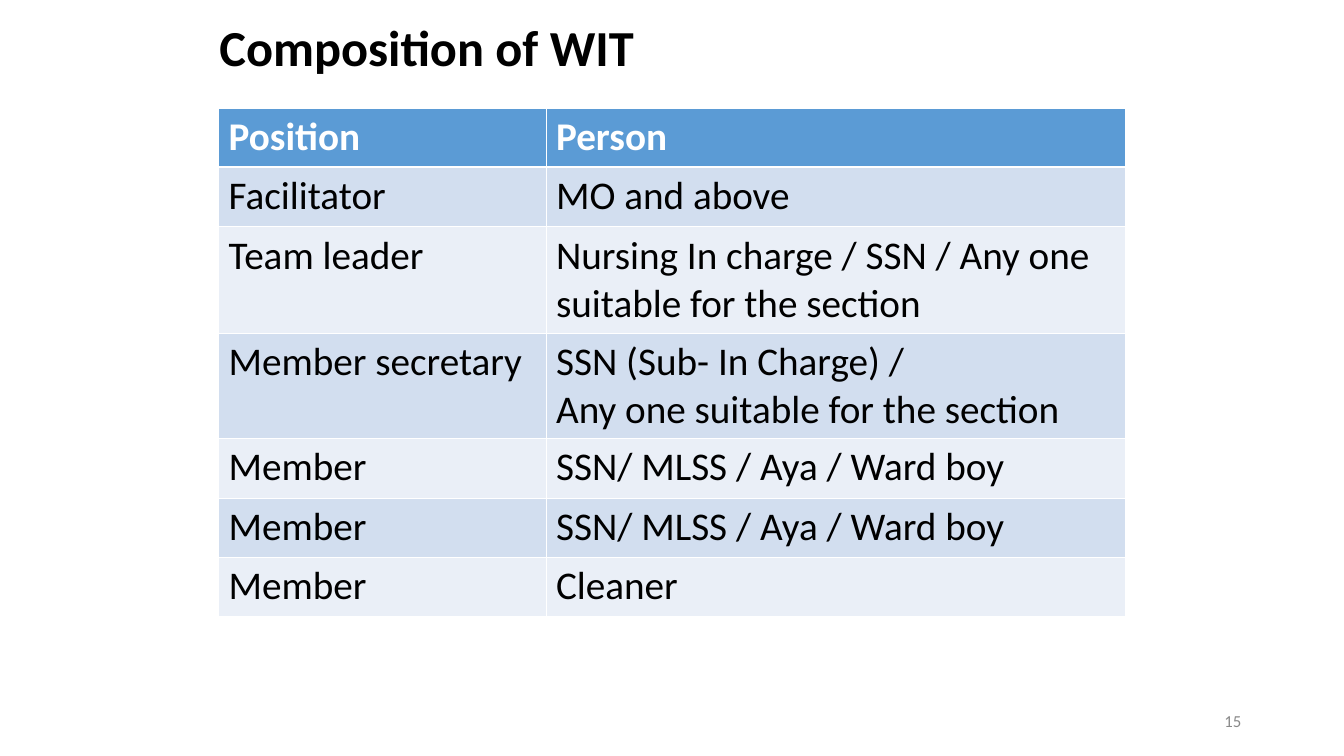
from lxml import etree
from pptx import Presentation
from pptx.dml.color import RGBColor
from pptx.enum.text import MSO_ANCHOR, PP_ALIGN
from pptx.oxml.ns import qn
from pptx.util import Inches, Pt

LEFT, RIGHT = PP_ALIGN.LEFT, PP_ALIGN.RIGHT
MIDDLE = MSO_ANCHOR.MIDDLE
FONT = "Calibri"
COLORS = {
    "black": "000000",
    "white": "FFFFFF",
    "gray": "898989",
    "head": "5B9BD5",
    "odd": "D2DEEF",
    "even": "EAEFF7",
}
ROWS = [
    ("Position", "Person"),
    ("Facilitator", "MO and above"),
    ("Team leader", "Nursing In charge / SSN / Any one suitable for the section"),
    ("Member secretary", "SSN (Sub- In Charge) /\nAny one suitable for the section"),
    ("Member", "SSN/ MLSS / Aya / Ward boy"),
    ("Member", "SSN/ MLSS / Aya / Ward boy"),
    ("Member", "Cleaner"),
]
WIDTHS = [3.25, 5.75]
HEIGHTS = [0.59, 0.59, 1.06, 1.04, 0.59, 0.59, 0.59]
THIN, THICK = 0.45, 1.47


def paint(name):
    """Return the named colour."""
    return RGBColor.from_string(COLORS[name])


def write(frame, text, size=28, color="black", bold=False, align=LEFT, space=None):
    """Fill a text frame, one paragraph per line of text."""
    frame.word_wrap = True
    frame.text = text
    for para in frame.paragraphs:
        para.alignment = align
        para.line_spacing = space
        font = para.font
        font.name, font.size, font.bold = FONT, Pt(size), bold
        font.color.rgb = paint(color)


def label(slide, box, text, **style):
    """Place a vertically centred text box."""
    frame = slide.shapes.add_textbox(*map(Inches, box)).text_frame
    frame.vertical_anchor = MIDDLE
    write(frame, text, **style)


def edge(cell, top, bottom):
    """Draw white borders around a cell with the given top and bottom widths."""
    props = cell._tc.get_or_add_tcPr()
    sides = {"lnL": THIN, "lnR": THIN, "lnT": top, "lnB": bottom}
    for spot, (side, width) in enumerate(sides.items()):
        line = etree.Element(qn(f"a:{side}"), w=str(Pt(width)))
        fill = etree.SubElement(line, qn("a:solidFill"))
        etree.SubElement(fill, qn("a:srgbClr"), val=COLORS["white"])
        props.insert(spot, line)


def roster(slide, box):
    """Build the table of team positions and persons."""
    size = len(ROWS), len(WIDTHS)
    table = slide.shapes.add_table(*size, *map(Inches, box)).table
    for col, width in zip(table.columns, WIDTHS):
        col.width = Inches(width)
    for row, height in zip(table.rows, HEIGHTS):
        row.height = Inches(height)
    for r, texts in enumerate(ROWS):
        head = r == 0
        band = "head" if head else "odd" if r % 2 else "even"
        for c, text in enumerate(texts):
            cell = table.cell(r, c)
            write(cell.text_frame, text, bold=head, color="white" if head else "black")
            cell.fill.solid()
            cell.fill.fore_color.rgb = paint(band)
            edge(cell, THICK if r == 1 else THIN, THICK if head else THIN)


def main():
    """Build and save the slide."""
    deck = Presentation()
    deck.slide_width, deck.slide_height = Inches(13.34), Inches(7.5)
    slide = deck.slides.add_slide(deck.slide_layouts[6])
    label(slide, (2.08, 0.12, 9, 0.75), "Composition of WIT", size=36, bold=True, space=0.9)
    label(slide, (9.42, 6.95, 3, 0.4), "15", size=12, color="gray", align=RIGHT)
    roster(slide, (2.17, 1.07, sum(WIDTHS), sum(HEIGHTS)))
    deck.save("out.pptx")


if __name__ == "__main__":
    main()
